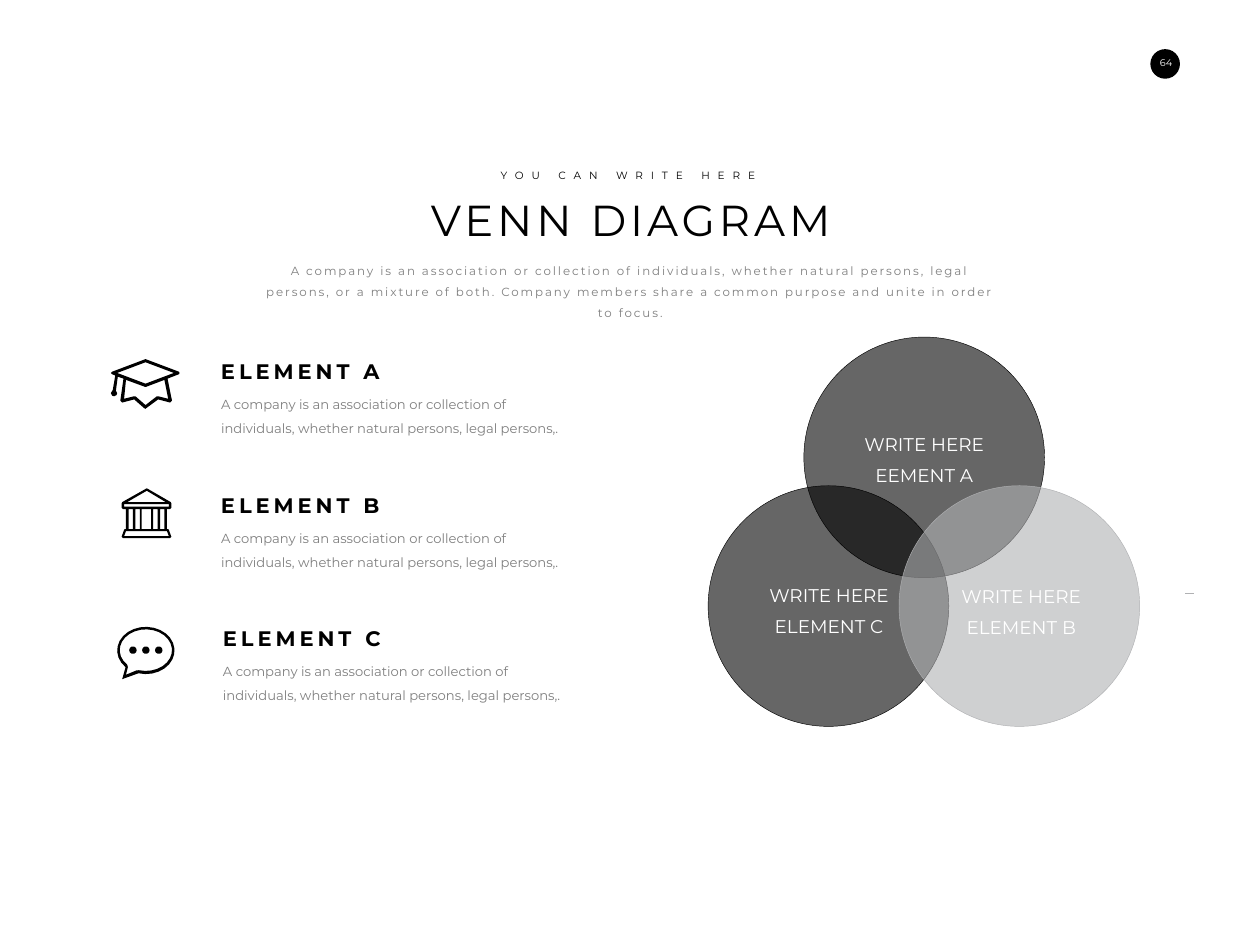
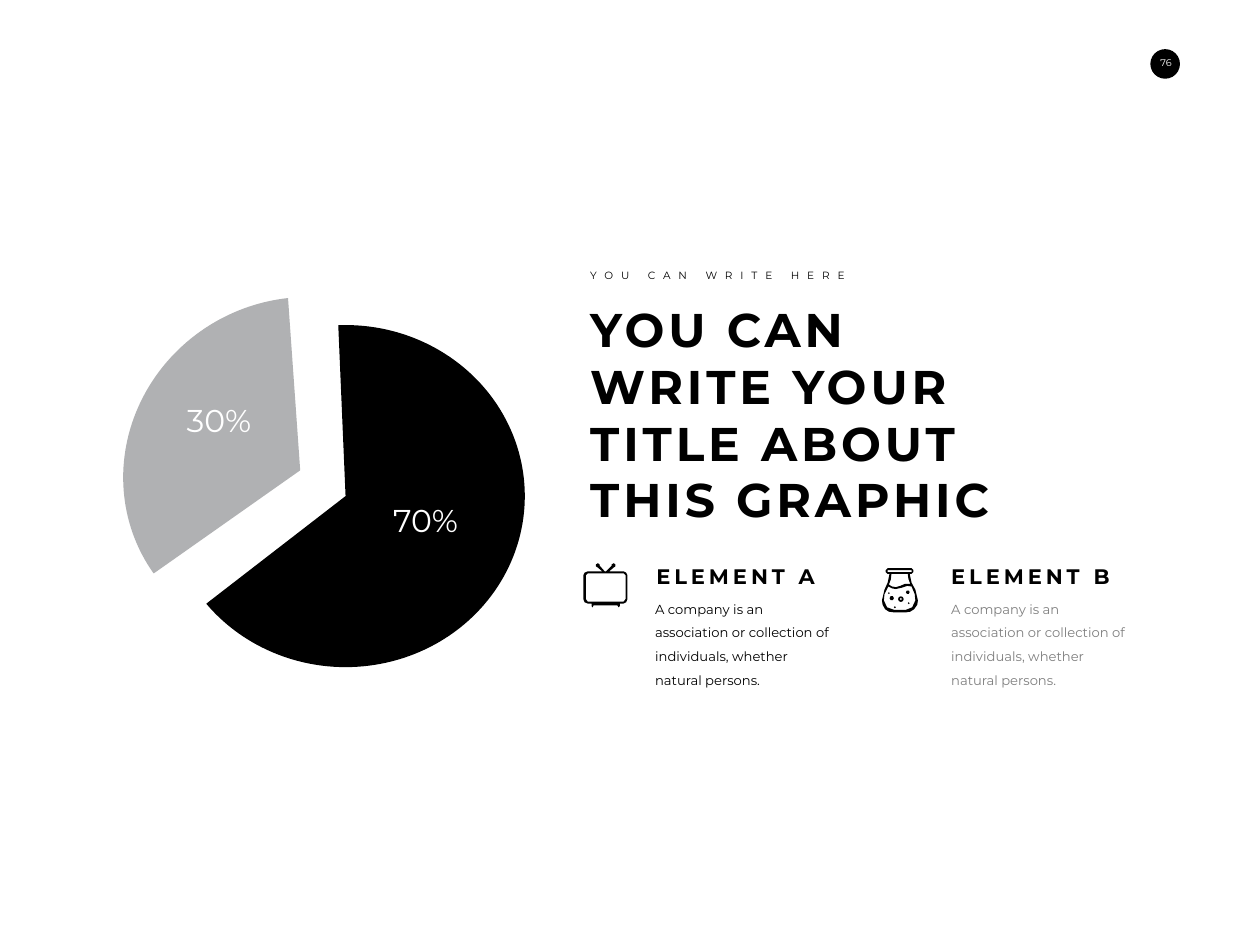
"""Build a Venn diagram slide and a split pie slide in one shared style."""
from dataclasses import dataclass
from math import cos, radians, sin
from typing import NamedTuple

from lxml.etree import SubElement
from pptx import Presentation
from pptx.dml.color import RGBColor
from pptx.enum.shapes import MSO_SHAPE as Preset
from pptx.enum.text import MSO_AUTO_SIZE as AutoSize, PP_ALIGN as Align
from pptx.oxml.ns import qn
from pptx.shapes.autoshape import Shape
from pptx.slide import Slide
from pptx.util import Pt

PX = 9144
COLORS = {"ink": "000000", "paper": "FFFFFF", "silver": "B0B1B3", "muted": "7F7F7F"}
FONT = "Montserrat"

Point = tuple[float, float]
Contour = list[Point]


class Box(NamedTuple):
    left: int
    top: int
    width: int
    height: int

    def emu(self) -> list[int]:
        return [length * PX for length in self]


class Style(NamedTuple):
    font: dict
    color: str = "ink"
    tracking: int = 0
    paragraph: dict = {}
    frame: dict = {}


CENTER = {"alignment": Align.CENTER}
NO_WRAP = {"word_wrap": False}
PAGE_INSETS = {"margin_left": 15 * PX, "margin_right": 15 * PX,
               "margin_top": 8 * PX, "margin_bottom": 8 * PX}
STYLES = {
    "page": Style({"size": Pt(11)}, "paper", 0, CENTER, NO_WRAP | PAGE_INSETS),
    "kicker": Style({"size": Pt(12)}, "ink", 900),
    "kicker_center": Style({"size": Pt(12)}, "ink", 900, CENTER, NO_WRAP),
    "title": Style({"size": Pt(49.5)}, "ink", 450, CENTER, NO_WRAP),
    "headline": Style({"size": Pt(54), "bold": True}, "ink", 450),
    "intro": Style({"size": Pt(13.5)}, "muted", 225, CENTER | {"line_spacing": 1.5}),
    "heading": Style({"size": Pt(24), "bold": True}, "ink", 450),
    "body": Style({"size": Pt(15)}, "muted", 0, {"line_spacing": 1.5}),
    "venn": Style({"size": Pt(21)}, "paper", 0, CENTER | {"line_spacing": 1.4}),
    "share": Style({"size": Pt(36)}, "paper", 0, CENTER),
}


@dataclass
class Element:
    name: str
    body: str
    left: int
    top: int
    heading_width: int
    body_box: Box
    icon: list[Contour]
    tone: str = "muted"


@dataclass
class Circle:
    left: int
    top: int
    color: str
    label: str
    label_left: int
    label_top: int


@dataclass
class Slice:
    left: int
    top: int
    start: float
    end: float
    rotation: float
    color: str
    label: str
    label_left: int
    label_top: int


def arc(cx: float, cy: float, rx: float, ry: float,
        start: int, end: int, steps: int) -> Contour:
    angles = [radians(start + (end - start) * step / steps) for step in range(steps + 1)]
    return [(cx + rx * cos(angle), cy + ry * sin(angle)) for angle in angles]


def dot(cx: float, cy: float, radius: float, steps: int) -> Contour:
    return arc(cx, cy, radius, radius, 0, 360, steps)[:-1]


def rectangle(left: int, top: int, right: int, bottom: int) -> Contour:
    return [(left, top), (right, top), (right, bottom), (left, bottom)]


GRADUATION_CAP = [
    [(285, 592), (284, 590), (231, 570), (178, 590), (176, 592), (178, 594), (183, 596),
     (179, 619), (176, 624), (178, 628), (181, 629), (185, 627), (186, 624), (184, 620),
     (187, 598), (196, 601), (191, 636), (194, 639), (213, 634), (229, 648), (231, 649),
     (232, 648), (251, 634), (270, 639), (273, 636), (266, 601), (284, 594)],
    [(231, 609), (186, 592), (231, 575), (276, 592)],
    [(267, 633), (251, 629), (249, 629), (231, 643), (215, 629), (213, 629), (197, 633),
     (200, 603), (230, 614), (232, 614), (261, 603)],
]
BANK = [
    [(270, 808), (272, 806), (272, 799), (271, 797), (233, 775), (194, 797), (193, 799),
     (193, 806), (195, 808), (200, 808), (200, 840), (198, 840), (197, 841), (193, 852),
     (195, 854), (270, 854), (272, 852), (268, 841), (267, 840), (265, 840), (265, 808)],
    rectangle(197, 800, 268, 804),
    *[rectangle(left, 808, right, 840)
      for left, right in [(204, 211), (215, 222), (225, 240), (243, 250), (254, 261)]],
    [(265, 843), (268, 851), (197, 851), (200, 843)],
    [(233, 779), (263, 797), (202, 797)],
]
SPEECH_BUBBLE = [
    arc(231.5, 1032.5, 45.5, 37.5, 135, 465, 24) + [(194, 1078)],
    arc(231.5, 1032, 41.5, 33, 135, 465, 24) + [(217, 1064), (200, 1071), (203, 1059)],
    *[dot(x, 1032, 6, 10) for x in (211, 231.5, 252)],
]
TELEVISION = [
    [(933, 907), (956, 907), (949, 901), (946, 899), (946, 896), (949, 894), (952, 896),
     (952, 898), (960, 907), (962, 907), (971, 898), (971, 896), (974, 894), (977, 896),
     (977, 899), (974, 901), (967, 907), (990, 907), (994, 909), (996, 913), (996, 951),
     (994, 956), (990, 958), (984, 958), (984, 962), (982, 964), (980, 961), (942, 961),
     (941, 964), (939, 962), (939, 958), (933, 958), (928, 956), (926, 951), (926, 913),
     (928, 909)],
    [(930, 951), (933, 955), (990, 955), (993, 951), (993, 913), (990, 910), (933, 910),
     (930, 913)],
]
JAR = [
    [(1412, 911), (1409, 911), (1406, 908), (1406, 905), (1409, 902), (1447, 902),
     (1450, 905), (1450, 908), (1447, 911), (1444, 911), (1447, 925), (1453, 936),
     (1457, 953), (1456, 960), (1451, 967), (1445, 971), (1438, 972), (1419, 972),
     (1411, 971), (1405, 967), (1401, 960), (1400, 953), (1404, 936), (1409, 925)],
    rectangle(1409, 905, 1447, 908),
    [(1415, 911), (1441, 911), (1442, 919), (1445, 927), (1436, 927), (1429, 930),
     (1422, 932), (1416, 931), (1411, 928), (1414, 920)],
    [(1419, 968), (1438, 968), (1448, 964), (1453, 953), (1452, 943), (1447, 931),
     (1440, 930), (1431, 933), (1422, 935), (1416, 934), (1410, 931), (1404, 943),
     (1403, 953), (1408, 964)],
    *[dot(x, y, radius, steps) for x, y, radius, steps in [
        (1430, 951, 4.5, 8), (1430, 951, 2, 4), (1415.5, 949.5, 3.5, 6), (1441, 940, 3, 6),
        (1420.5, 964, 1.7, 4), (1411, 941.5, 1.5, 4), (1442.5, 957.5, 1.5, 4)]],
]

COMPANY = "A company is an association or collection of individuals, whether natural persons"
VENN_ELEMENTS = [
    Element(f"ELEMENT {letter}", f"{COMPANY}, legal persons,.", left, top, 430,
            Box(left, top + 48, 559, 86), icon)
    for letter, left, top, icon in [("A", 341, 564, GRADUATION_CAP), ("B", 341, 777, BANK),
                                    ("C", 344, 988, SPEECH_BUBBLE)]
]
PIE_ELEMENTS = [
    Element("ELEMENT A", f"{COMPANY}.", 1032, 889, 296, Box(1030, 937, 308, 124),
            TELEVISION, "ink"),
    Element("ELEMENT B", f"{COMPANY}.", 1500, 889, 296, Box(1500, 937, 310, 124), JAR),
]
CIRCLES = [
    Circle(1124, 771, "ink", "WRITE HERE\nELEMENT C", 1181, 908),
    Circle(1276, 535, "ink", "WRITE HERE\nEEMENT A", 1332, 669),
    Circle(1427, 771, "silver", "WRITE HERE\nELEMENT B", 1486, 910),
]
SLICES = [
    Slice(264, 516, 37.69, 272.45, 0, "ink", "70%", 565, 790),
    Slice(192, 475, 62.55, 183.64, 148.5, "silver", "30%", 237, 632),
]


def rgb(color: str) -> RGBColor:
    return RGBColor.from_string(COLORS[color])


def apply(target: object, values: dict) -> None:
    for name, value in values.items():
        setattr(target, name, value)


def write(slide: Slide, text: str, box: Box, style: Style) -> None:
    frame = slide.shapes.add_textbox(*box.emu()).text_frame
    apply(frame, {"word_wrap": True, "auto_size": AutoSize.SHAPE_TO_FIT_TEXT} | style.frame)
    for index, line in enumerate(text.split("\n")):
        paragraph = frame.add_paragraph() if index else frame.paragraphs[0]
        apply(paragraph, style.paragraph)
        run = paragraph.add_run()
        run.text = line
        apply(run.font, {"name": FONT} | style.font)
        run.font.color.rgb = rgb(style.color)
        if style.tracking:
            run.font._element.set("spc", str(style.tracking))


def paint(shape: Shape, color: str) -> None:
    shape.shadow.inherit = False
    shape.fill.solid()
    shape.fill.fore_color.rgb = rgb(color)
    shape.line.fill.background()


def draw_outline(slide: Slide, contours: list[Contour], color: str = "ink") -> None:
    scaled = [[(x * PX, y * PX) for x, y in contour] for contour in contours]
    builder = slide.shapes.build_freeform(*scaled[0][0], scale=1.0)
    for contour in scaled:
        if contour is not scaled[0]:
            builder.move_to(*contour[0])
        builder.add_line_segments(contour[1:], close=True)
    paint(builder.convert_to_shape(), color)


def draw_element(slide: Slide, element: Element) -> None:
    write(slide, element.body, element.body_box, STYLES["body"]._replace(color=element.tone))
    write(slide, element.name, Box(element.left, element.top, element.heading_width, 51),
          STYLES["heading"])
    draw_outline(slide, element.icon)


def draw_circle(slide: Slide, circle: Circle) -> None:
    disc = slide.shapes.add_shape(Preset.OVAL, *Box(circle.left, circle.top, 382, 382).emu())
    paint(disc, circle.color)
    disc.line.color.rgb = rgb(circle.color)
    disc.line.width = Pt(0.5)
    tint = disc._element.spPr.find(qn("a:solidFill"))[0]
    SubElement(tint, qn("a:alpha")).set("val", "60000")


def draw_slice(slide: Slide, part: Slice) -> None:
    wedge = slide.shapes.add_shape(Preset.PIE, *Box(part.left, part.top, 569, 543).emu())
    paint(wedge, part.color)
    wedge.rotation = part.rotation
    for index, degrees in enumerate((part.start, part.end)):
        wedge.adjustments[index] = degrees * 0.6
    wedge._element.spPr.find(qn("a:xfrm")).set("flipH", "1")


def add_page(deck: Presentation, number: int) -> Slide:
    slide = deck.slides.add_slide(deck.slide_layouts[6])
    badge = slide.shapes.add_shape(Preset.OVAL, *Box(1826, 78, 47, 47).emu())
    paint(badge, "ink")
    write(slide, str(number), Box(1822, 82, 58, 34), STYLES["page"])
    return slide


def build_venn(deck: Presentation) -> None:
    slide = add_page(deck, 64)
    for circle in CIRCLES:
        draw_circle(slide, circle)
    draw_outline(slide, [rectangle(1881, 941, 1896, 943)], "silver")
    for circle in CIRCLES:
        write(slide, circle.label, Box(circle.label_left, circle.label_top, 270, 109),
              STYLES["venn"])
    write(slide, "VENN DIAGRAM", Box(671, 301, 661, 93), STYLES["title"])
    write(slide, "YOU CAN WRITE HERE", Box(778, 264, 438, 30), STYLES["kicker_center"])
    write(slide, f"{COMPANY}, legal persons, or a mixture of both. Company members share "
          "a common purpose and unite in order to focus.", Box(399, 402, 1203, 78),
          STYLES["intro"])
    for element in VENN_ELEMENTS:
        draw_element(slide, element)


def build_pie(deck: Presentation) -> None:
    slide = add_page(deck, 76)
    for part in SLICES:
        draw_slice(slide, part)
    for part in SLICES:
        write(slide, part.label, Box(part.label_left, part.label_top, 221, 71),
              STYLES["share"])
    write(slide, "YOU CAN\nWRITE YOUR\nTITLE ABOUT\nTHIS GRAPHIC", Box(927, 472, 838, 374),
          STYLES["headline"])
    write(slide, "YOU CAN WRITE HERE", Box(927, 422, 514, 30), STYLES["kicker"])
    for element in PIE_ELEMENTS:
        draw_element(slide, element)


def main() -> None:
    deck = Presentation()
    apply(deck, {"slide_width": 2000 * PX, "slide_height": 1500 * PX})
    build_venn(deck)
    build_pie(deck)
    deck.save("out.pptx")


if __name__ == "__main__":
    main()
